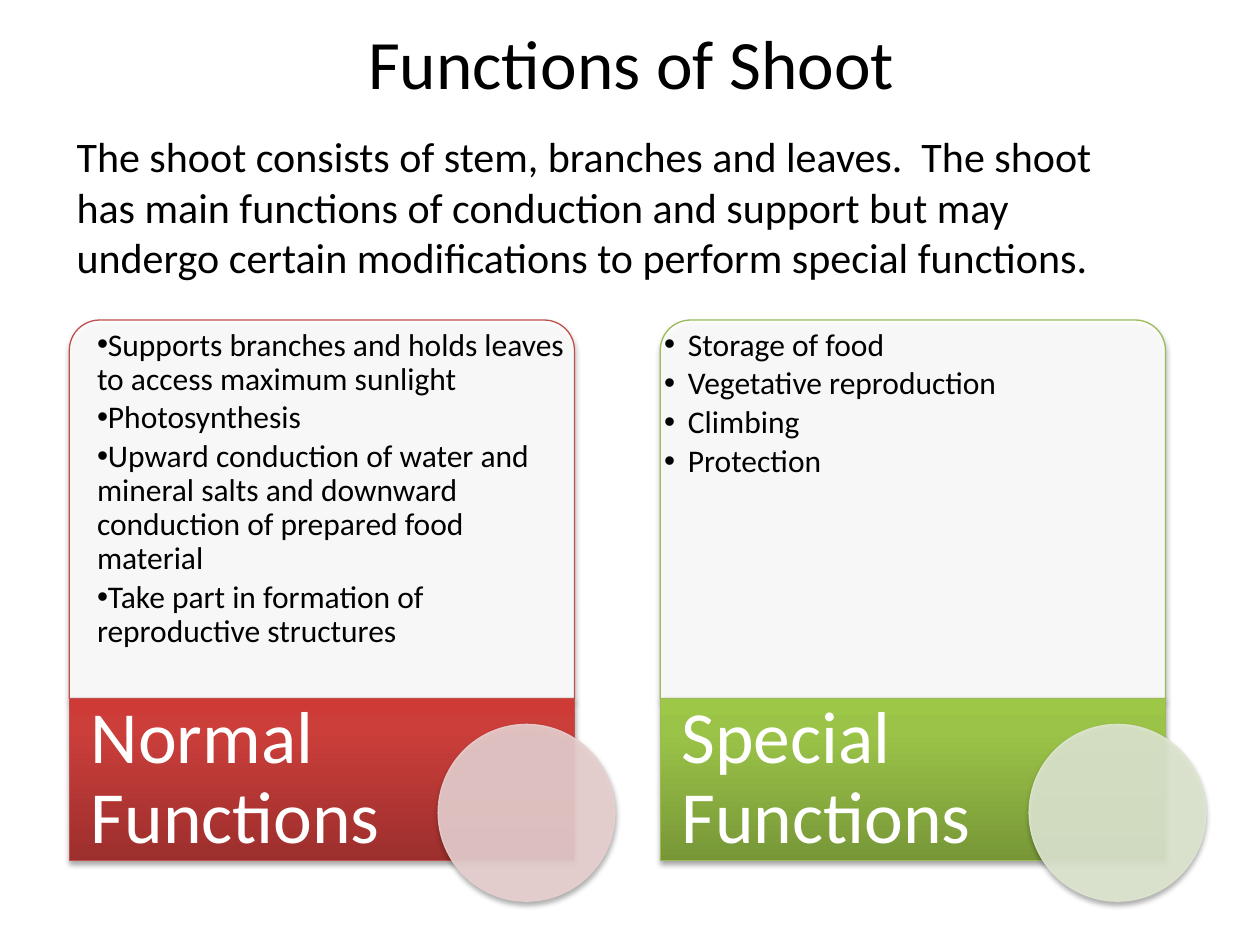
from collections import namedtuple

from lxml import etree
from pptx import Presentation
from pptx import util as u
from pptx.dml.color import RGBColor
from pptx.enum import shapes, text
from pptx.oxml import ns

Box = namedtuple("Box", "left top width height")
Theme = namedtuple("Theme", "line dark mid bright tint")

BLACK = RGBColor(0x00, 0x00, 0x00)
WHITE = RGBColor(0xFF, 0xFF, 0xFF)
RED = Theme(*map(RGBColor.from_string, ("C0504D", "9C2F2D", "CB3E3A", "CE3B37", "E8D0D0")))
GREEN = Theme(*map(RGBColor.from_string, ("9BBB59", "779737", "9BC348", "9DC746", "DEE7D1")))

FONT = "Calibri"
INTRO = ("The shoot consists of stem, branches and leaves.  The shoot has main functions of "
         "conduction and support but may undergo certain modifications to perform special functions.")
CARDS = [
    ("Normal Functions", RED, 0, [
        "Supports branches and holds leaves to access maximum sunlight",
        "Photosynthesis",
        "Upward conduction of water and mineral salts and downward conduction of prepared food material",
        "Take part in formation of reproductive structures",
    ]),
    ("Special Functions", GREEN, -0.19, [
        "Storage of food", "Vegetative reproduction", "Climbing", "Protection",
    ]),
]
CARD_GRID = Box(0.55, 2.54, 4.01, 4.29)
CARD_PITCH = 4.69
PANEL_SHARE = 0.7


def part(box, left, top, width, height):
    """Return the box that covers the given shares of another box."""
    return Box(box.left + left * box.width, box.top + top * box.height,
               width * box.width, height * box.height)


def emu(box):
    """Return the box in slide units."""
    return [u.Inches(length) for length in box]


def child(parent, tag, **attributes):
    """Append a drawing element with attributes and return it."""
    node = etree.SubElement(parent, ns.qn("a:" + tag))
    for key, value in attributes.items():
        node.set(key, str(value))
    return node


def set_all(target, values):
    """Set attributes of an object from a dict."""
    for key, value in values.items():
        setattr(target, key, value)


def write(holder, lines, size, color, insets=(0.1, 0.05, 0.1, 0.05),
          anchor=text.MSO_ANCHOR.TOP, **spacing):
    """Fill a text holder with formatted paragraphs and return them."""
    frame = holder.text_frame
    frame.text = "\n".join(lines)
    sides = ("margin_left", "margin_top", "margin_right", "margin_bottom")
    set_all(frame, {"word_wrap": True, "auto_size": text.MSO_AUTO_SIZE.NONE,
                    "vertical_anchor": anchor, **dict(zip(sides, map(u.Inches, insets)))})
    for paragraph in frame.paragraphs:
        set_all(paragraph, spacing)
        for run in paragraph.runs:
            set_all(run.font, {"name": FONT, "size": u.Pt(size)})
            run.font.color.rgb = color
    return frame.paragraphs


def add_block(slide, kind, box, fill, line, alpha=None, line_alpha=None):
    """Add a shadowed shape with a solid fill, or a gradient for a list of stops."""
    shape = slide.shapes.add_shape(kind, *emu(box))
    properties = shape.element.spPr
    if isinstance(fill, list):
        shape.fill.gradient()
        shape.fill.gradient_angle = 90
        stops = properties.find(".//" + ns.qn("a:gsLst"))
        for stop in list(stops):
            stops.remove(stop)
        for position, color in fill:
            child(child(stops, "gs", pos=position * 1000), "srgbClr", val=color)
    else:
        shape.fill.solid()
        shape.fill.fore_color.rgb = fill
    shape.line.color.rgb = line
    shape.line.width = u.Pt(0.75)
    for route, share in (("a:solidFill/a:srgbClr", alpha), ("a:ln/a:solidFill/a:srgbClr", line_alpha)):
        if share:
            child(properties.find(route, ns._nsmap), "alpha", val=share * 1000)
    shape.shadow.inherit = False
    shadow = child(properties.find(ns.qn("a:effectLst")), "outerShdw", blurRad=u.Pt(3.1),
                   dist=u.Pt(1.8), dir=90 * 60000, rotWithShape=0)
    child(child(shadow, "srgbClr", val=BLACK), "alpha", val=35000)
    return shape


def place(holder, box):
    """Move a placeholder to a box, in front of what is drawn so far."""
    set_all(holder, dict(zip(Box._fields, emu(box))))
    tree = holder.element.getparent()
    tree.append(holder.element)


def add_list(holder, box, items, hanging):
    """Write the bulleted functions into a body placeholder."""
    place(holder, box)
    paragraphs = write(holder, items, 18, BLACK, (0.03, 0.07, 0.03, 0.03), level=1,
                       line_spacing=0.9, space_before=u.Pt(0), space_after=u.Pt(2.7))
    for paragraph in paragraphs:
        properties = paragraph._p.get_or_add_pPr()
        properties.set("marL", str(u.Inches(0.19)))
        properties.set("indent", str(u.Inches(hanging)))
        child(properties, "buFont", typeface="Arial")
        child(properties, "buChar", char="•")


def add_card(slide, box, holder, caption, theme, hanging, items):
    """Draw one card: list panel, caption band and overlapping disc."""
    panel_box = part(box, 0, 0, 1, PANEL_SHARE)
    band_box = part(box, 0, PANEL_SHARE, 1, 1 - PANEL_SHARE)
    panel = add_block(slide, shapes.MSO_SHAPE.ROUND_2_SAME_RECTANGLE, panel_box,
                      WHITE, theme.line, alpha=90)
    panel.adjustments[0] = 0.08
    add_list(holder, panel_box, items, hanging)
    add_block(slide, shapes.MSO_SHAPE.RECTANGLE, band_box,
              [(0, theme.dark), (80, theme.mid), (100, theme.bright)], theme.line)
    label = slide.shapes.add_textbox(*emu(part(band_box, 0, 0, 0.7, 1)))
    write(label, [caption], 42, WHITE, (0.17, 0, 0.06, 0), text.MSO_ANCHOR.MIDDLE, line_spacing=0.9)
    disc = part(band_box, 0.73, 0.16, 0.35, 1)._replace(height=0.35 * box.width)
    add_block(slide, shapes.MSO_SHAPE.OVAL, disc, theme.tint, theme.tint, 90, 90)


def add_heading(slide, box):
    """Place the title and the introduction below it."""
    place(slide.shapes.title, part(box, 0, 0, 1, 0.26))
    write(slide.shapes.title, ["Functions of Shoot"], 39.6, BLACK,
          anchor=text.MSO_ANCHOR.MIDDLE, alignment=text.PP_ALIGN.CENTER)
    intro = slide.shapes.add_textbox(*emu(part(box, 0, 0.37, 0.96, 0.63)))
    write(intro, [INTRO], 24, BLACK)


def main():
    """Build the slide and save it."""
    deck = Presentation()
    set_all(deck, {"slide_width": u.Inches(10), "slide_height": u.Inches(7.5)})
    slide = deck.slides.add_slide(deck.slide_layouts.get_by_name("Two Content"))
    add_heading(slide, Box(0.51, 0.22, 9, 2.08))
    holders = [slide.placeholders[1], slide.placeholders[2]]
    for column, (holder, card) in enumerate(zip(holders, CARDS)):
        box = CARD_GRID._replace(left=CARD_GRID.left + column * CARD_PITCH)
        add_card(slide, box, holder, *card)
    deck.save("out.pptx")


if __name__ == "__main__":
    main()
